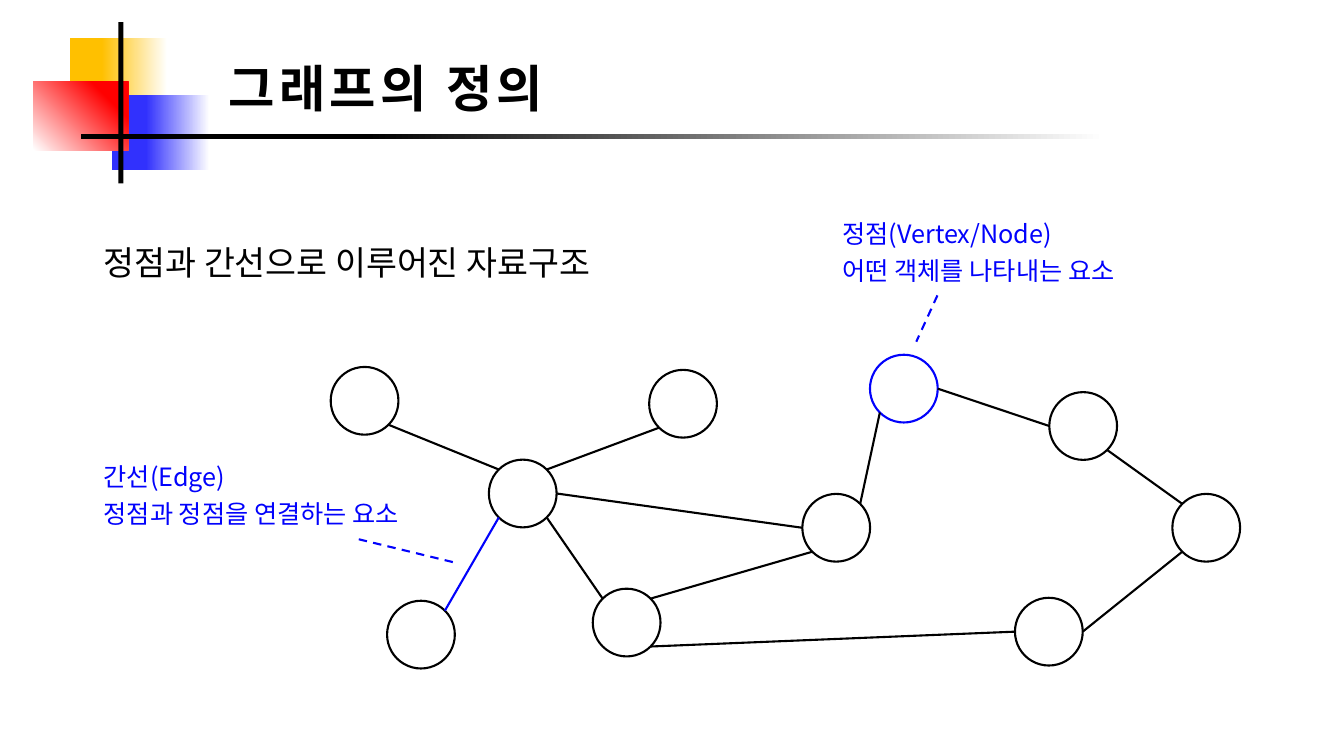
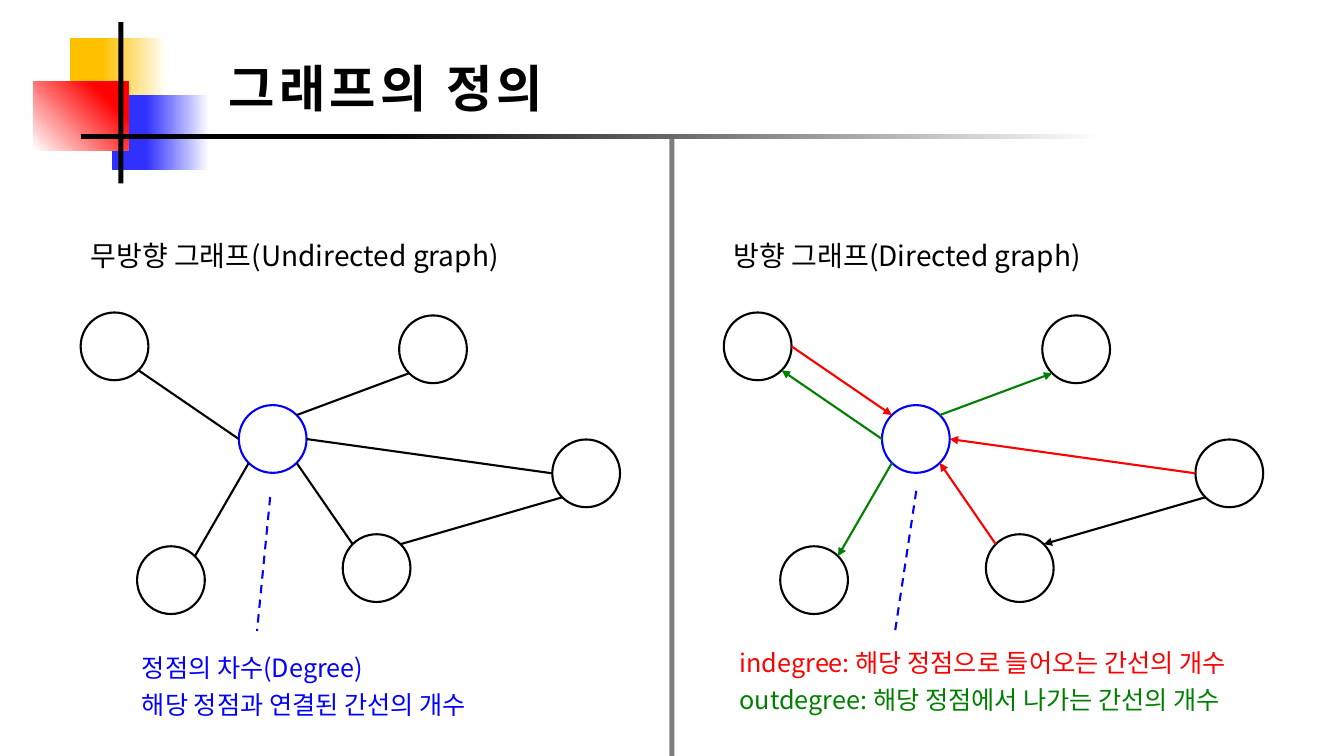
from dataclasses import dataclass
from math import sqrt
from typing import Optional

from lxml import etree
from pptx import Presentation
from pptx.dml import color
from pptx.enum import dml, shapes, text
from pptx.oxml import ns
from pptx.util import Pt

FONT = "Noto Sans CJK KR"
BLACK, WHITE, BLUE, RED, GREEN = "000000", "FFFFFF", "0202FC", "FF0000", "008000"
DIAMETER = 48.4
LINE_WIDTH = 1.5
SINGLE_LINE, DOUBLE_LINE = 1.28, 1.467
DIAGONAL = 1 / sqrt(2)
SITES = {
    "N": (0, -1), "NE": (DIAGONAL, -DIAGONAL), "E": (1, 0), "SE": (DIAGONAL, DIAGONAL),
    "S": (0, 1), "SW": (-DIAGONAL, DIAGONAL), "W": (-1, 0), "NW": (-DIAGONAL, -DIAGONAL),
}


@dataclass(frozen=True)
class Block:
    left: float
    top: float
    width: float
    height: float
    colour: str
    solid_from: Optional[float] = None
    angle: float = 180
    opacity: Optional[int] = None


@dataclass(frozen=True)
class Label:
    left: float
    top: float
    width: float
    height: float
    content: str
    size: float
    colours: tuple[str, ...] = (BLACK,)
    spacing: float = SINGLE_LINE


@dataclass(frozen=True)
class Edge:
    start: str
    start_site: str
    end: str
    end_site: str
    colour: str = BLACK


@dataclass(frozen=True)
class Pointer:
    start: tuple[float, float]
    end: tuple[float, float]


@dataclass(frozen=True)
class Graph:
    nodes: dict[str, tuple[float, float]]
    edges: list[Edge]
    highlight: str
    shift: tuple[float, float] = (0, 0)
    directed: bool = False


TITLE = "그래프의 정의"
DECORATION = [
    Block(49.7, 27.4, 69.8, 68.4, "FFC000", 0.67),
    Block(79.9, 67.7, 69.8, 54, "3131FD", 0.65),
    Block(23.8, 58.3, 67.7, 49, RED, 0.78, 45),
    Block(84.6, 15.8, 3.6, 115.2, BLACK),
    Block(57.6, 95.8, 731.5, 3.6, BLACK, 0.72),
]
DIVIDER = Block(478.1, 99.4, 3.6, 440.6, BLACK, opacity=50)

CLUSTER = {
    "A": (236.2, 262.1), "B": (349.2, 328.3), "C": (276.5, 429.1),
    "D": (423.4, 420.5), "E": (463.7, 264.2), "F": (573.1, 352.8),
}
LOOP = {
    "G": (621.4, 253.4), "H": (749.5, 280.1), "I": (725, 427), "J": (837.4, 352.8),
}
SHARED_EDGES = [
    Edge("D", "NW", "B", "SE"),
    Edge("F", "W", "B", "E"),
    Edge("E", "SW", "B", "NE"),
    Edge("F", "SW", "D", "NE"),
]
OVERVIEW = Graph(CLUSTER | LOOP, SHARED_EDGES + [
    Edge("A", "SE", "B", "NW"),
    Edge("C", "NE", "B", "SW", BLUE),
    Edge("G", "SW", "F", "NE"),
    Edge("G", "E", "H", "W"),
    Edge("H", "SE", "J", "NW"),
    Edge("J", "SW", "I", "E"),
    Edge("D", "SE", "I", "W"),
], "G")
UNDIRECTED = Graph(CLUSTER, SHARED_EDGES + [
    Edge("A", "SE", "B", "W"),
    Edge("C", "NE", "B", "SW"),
], "B", (-178.6, -38.9))
DIRECTED = Graph(CLUSTER, [
    Edge("B", "W", "A", "SE", GREEN),
    Edge("B", "SW", "C", "NE", GREEN),
    Edge("D", "NW", "B", "SE", RED),
    Edge("F", "W", "B", "E", RED),
    Edge("B", "NE", "E", "SW", GREEN),
    Edge("F", "SW", "D", "NE"),
    Edge("A", "E", "B", "NW", RED),
], "B", (280.8, -38.9), True)


def rgb(value: str) -> color.RGBColor:
    return color.RGBColor.from_string(value)


def add_child(parent, tag: str, **attributes: str):
    return etree.SubElement(parent, ns.qn(tag), attributes)


def format_text(frame, label: Label) -> None:
    frame.word_wrap = True
    frame.auto_size = text.MSO_AUTO_SIZE.NONE
    frame.vertical_anchor = text.MSO_ANCHOR.TOP
    frame.text = label.content
    paragraph = frame.paragraphs[0]
    paragraph.alignment = text.PP_ALIGN.LEFT
    paragraph.line_spacing = Pt(label.size * label.spacing)
    for index, run in enumerate(paragraph.runs):
        run.font.name = FONT
        run.font.size = Pt(label.size)
        run.font.color.rgb = rgb(label.colours[index % len(label.colours)])
        add_child(run.font._element, "a:ea", typeface=FONT)


def add_label(slide, label: Label) -> None:
    box = slide.shapes.add_textbox(
        Pt(label.left), Pt(label.top), Pt(label.width), Pt(label.height))
    format_text(box.text_frame, label)


def add_block(slide, block: Block) -> None:
    shape = slide.shapes.add_shape(
        shapes.MSO_SHAPE.RECTANGLE,
        Pt(block.left), Pt(block.top), Pt(block.width), Pt(block.height))
    shape.shadow.inherit = False
    shape.line.fill.background()
    if block.solid_from is None:
        shape.fill.solid()
        shape.fill.fore_color.rgb = rgb(block.colour)
    else:
        shape.fill.gradient()
        shape.fill.gradient_angle = block.angle
        stops = zip(shape.fill.gradient_stops, (WHITE, block.colour), (0, block.solid_from))
        for stop, colour, position in stops:
            stop.color.rgb = rgb(colour)
            stop.position = position
    if block.opacity is not None:
        fill_colour = shape._element.spPr.find(ns.qn("a:solidFill"))[0]
        add_child(fill_colour, "a:alpha", val=str(block.opacity * 1000))


def add_line(slide, start: tuple[float, float], end: tuple[float, float], colour: str,
             dashed: bool = False, arrow: bool = False) -> None:
    connector = slide.shapes.add_connector(
        shapes.MSO_CONNECTOR.STRAIGHT, *(Pt(value) for value in (*start, *end)))
    connector.line.color.rgb = rgb(colour)
    connector.line.width = Pt(LINE_WIDTH)
    if dashed:
        connector.line.dash_style = dml.MSO_LINE.DASH
    if arrow:
        add_child(connector.line._get_or_add_ln(), "a:tailEnd", type="triangle")
    add_child(connector._element.spPr, "a:effectLst")


def add_pointer(slide, pointer: Pointer) -> None:
    add_line(slide, pointer.start, pointer.end, BLUE, dashed=True)


def add_node(slide, left: float, top: float, colour: str) -> None:
    node = slide.shapes.add_shape(
        shapes.MSO_SHAPE.OVAL, Pt(left), Pt(top), Pt(DIAMETER), Pt(DIAMETER))
    node.shadow.inherit = False
    node.fill.solid()
    node.fill.fore_color.rgb = rgb(WHITE)
    node.line.color.rgb = rgb(colour)
    node.line.width = Pt(LINE_WIDTH)


def site_point(corner: tuple[float, float], site: str) -> tuple[float, float]:
    radius = DIAMETER / 2
    across, down = SITES[site]
    return corner[0] + radius * (1 + across), corner[1] + radius * (1 + down)


def add_graph(slide, graph: Graph) -> None:
    corners = {name: (left + graph.shift[0], top + graph.shift[1])
               for name, (left, top) in graph.nodes.items()}
    for name, corner in corners.items():
        add_node(slide, *corner, BLUE if name == graph.highlight else BLACK)
    for edge in graph.edges:
        add_line(slide, site_point(corners[edge.start], edge.start_site),
                 site_point(corners[edge.end], edge.end_site),
                 edge.colour, arrow=graph.directed)


def add_titled_slide(presentation):
    slide = presentation.slides.add_slide(presentation.slide_layouts[5])
    title = slide.shapes.title
    title.left, title.top, title.width, title.height = Pt(156.2), Pt(34.6), Pt(527), Pt(51.1)
    format_text(title.text_frame, Label(156.2, 34.6, 527, 51.1, TITLE, 36))
    for run in title.text_frame.paragraphs[0].runs:
        run.font.bold = True
        run.font._element.set("spc", "300")
    for block in DECORATION:
        add_block(slide, block)
    return slide


def build_definition(presentation) -> None:
    slide = add_titled_slide(presentation)
    add_graph(slide, OVERVIEW)
    for label in (
        Label(67, 167, 400, 36, "정점과 간선으로 이루어진 자료구조", 24),
        Label(67, 321.1, 264, 57.6, "간선(Edge)\v정점과 정점을 연결하는 요소",
              18, (BLUE,), DOUBLE_LINE),
        Label(594.7, 147.6, 251, 57.6, "정점(Vertex/Node)\v어떤 객체를 나타내는 요소",
              18, (BLUE,), DOUBLE_LINE),
    ):
        add_label(slide, label)
    add_pointer(slide, Pointer((256.3, 385.2), (327.6, 402.5)))
    add_pointer(slide, Pointer((669.6, 211), (654.5, 244.1)))


def build_directions(presentation) -> None:
    slide = add_titled_slide(presentation)
    add_block(slide, DIVIDER)
    add_graph(slide, UNDIRECTED)
    add_graph(slide, DIRECTED)
    for label in (
        Label(57.6, 164.9, 330, 31.7, "무방향 그래프(Undirected graph)", 20),
        Label(517, 164.9, 330, 31.7, "방향 그래프(Directed graph)", 20),
        Label(94.3, 457.9, 276, 57.6, "정점의 차수(Degree)\v해당 정점과 연결된 간선의 개수",
              18, (BLUE,), DOUBLE_LINE),
        Label(521.3, 454.3, 400, 57.6,
              "indegree: 해당 정점으로 들어오는 간선의 개수\v"
              "outdegree: 해당 정점에서 나가는 간선의 개수",
              18, (RED, GREEN), DOUBLE_LINE),
    ):
        add_label(slide, label)
    add_pointer(slide, Pointer((193, 355), (183.6, 450.7)))
    add_pointer(slide, Pointer((654.5, 350.6), (639.4, 450.7)))


def main() -> None:
    presentation = Presentation()
    presentation.slide_width, presentation.slide_height = Pt(960), Pt(540)
    build_definition(presentation)
    build_directions(presentation)
    presentation.save("out.pptx")


if __name__ == "__main__":
    main()
